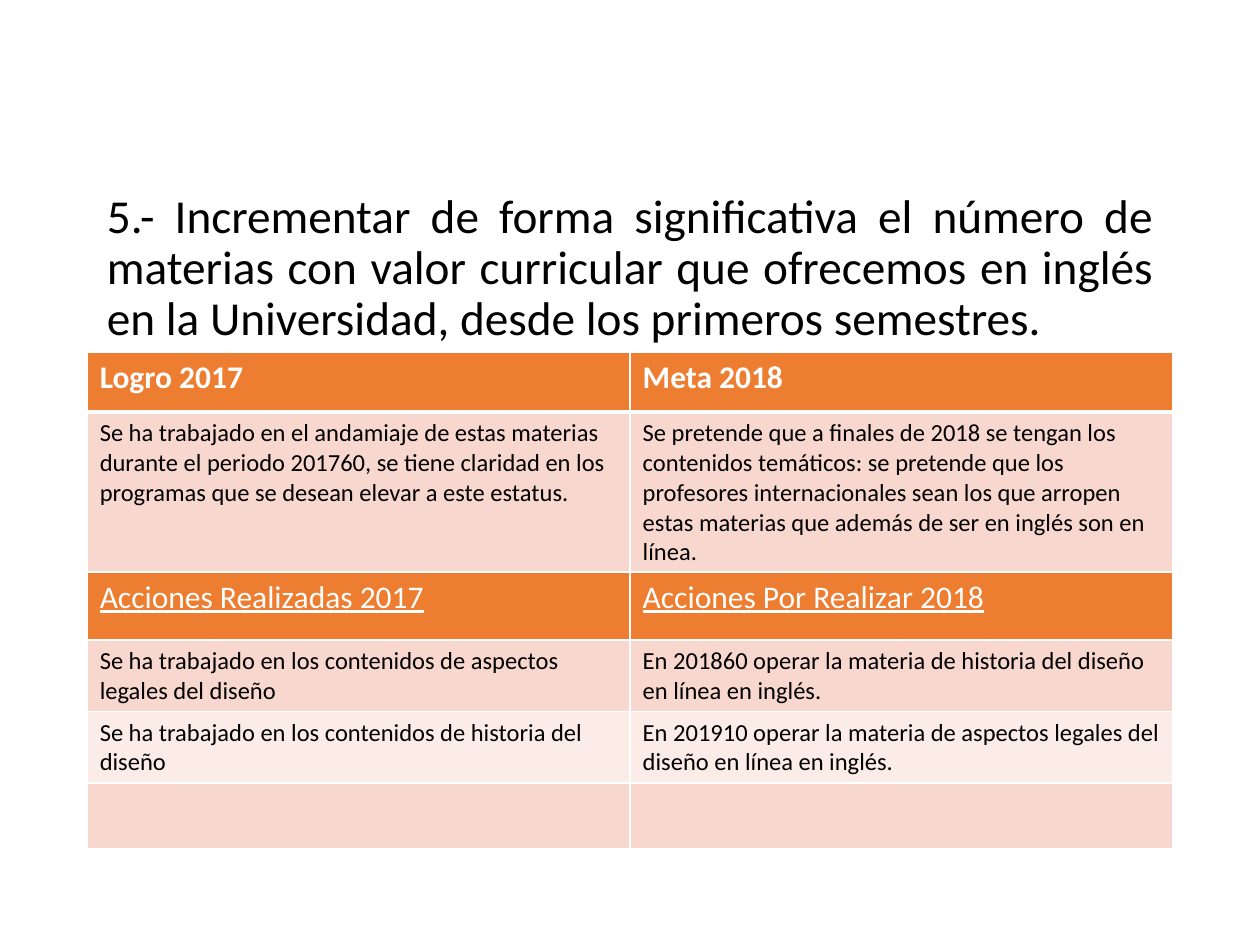
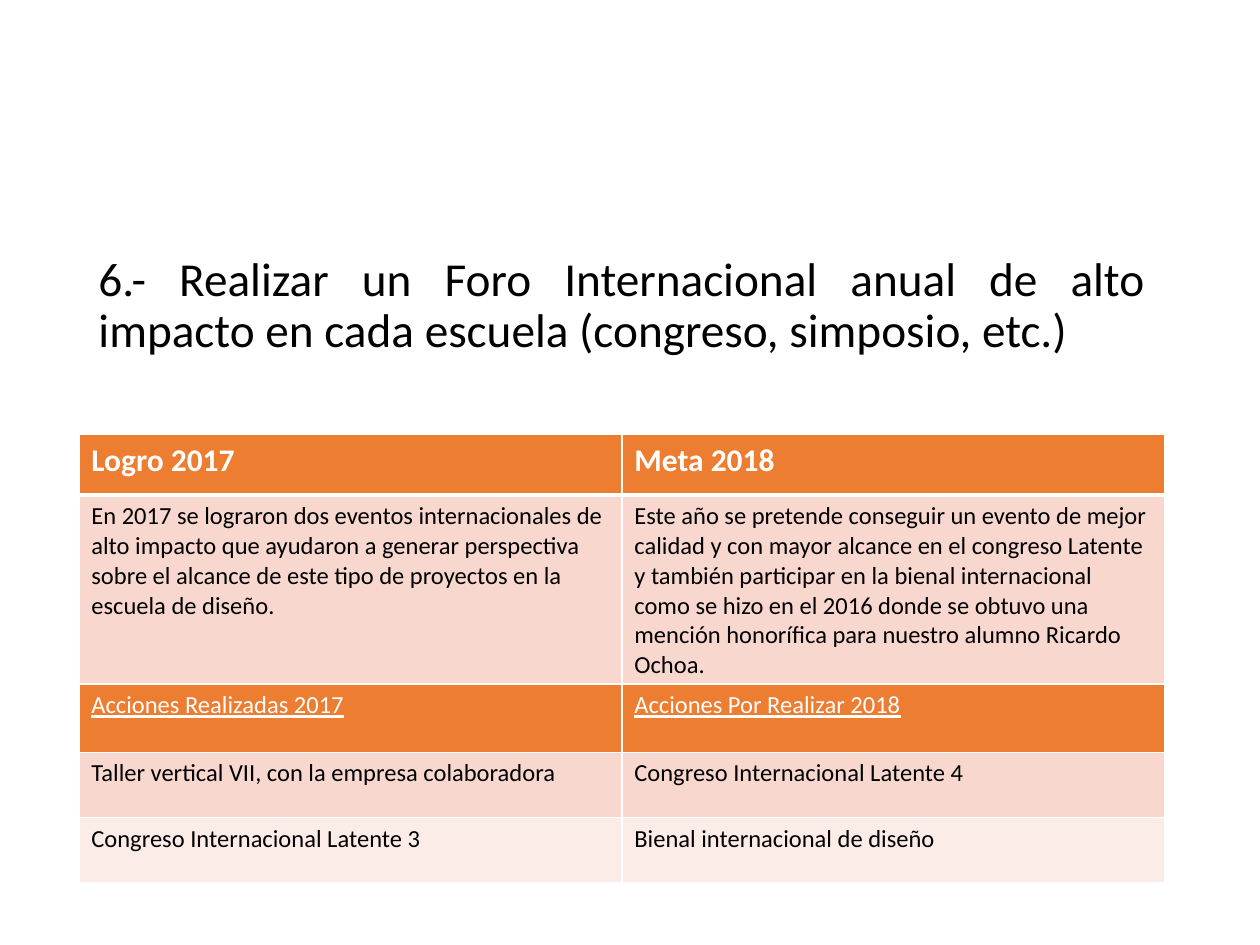
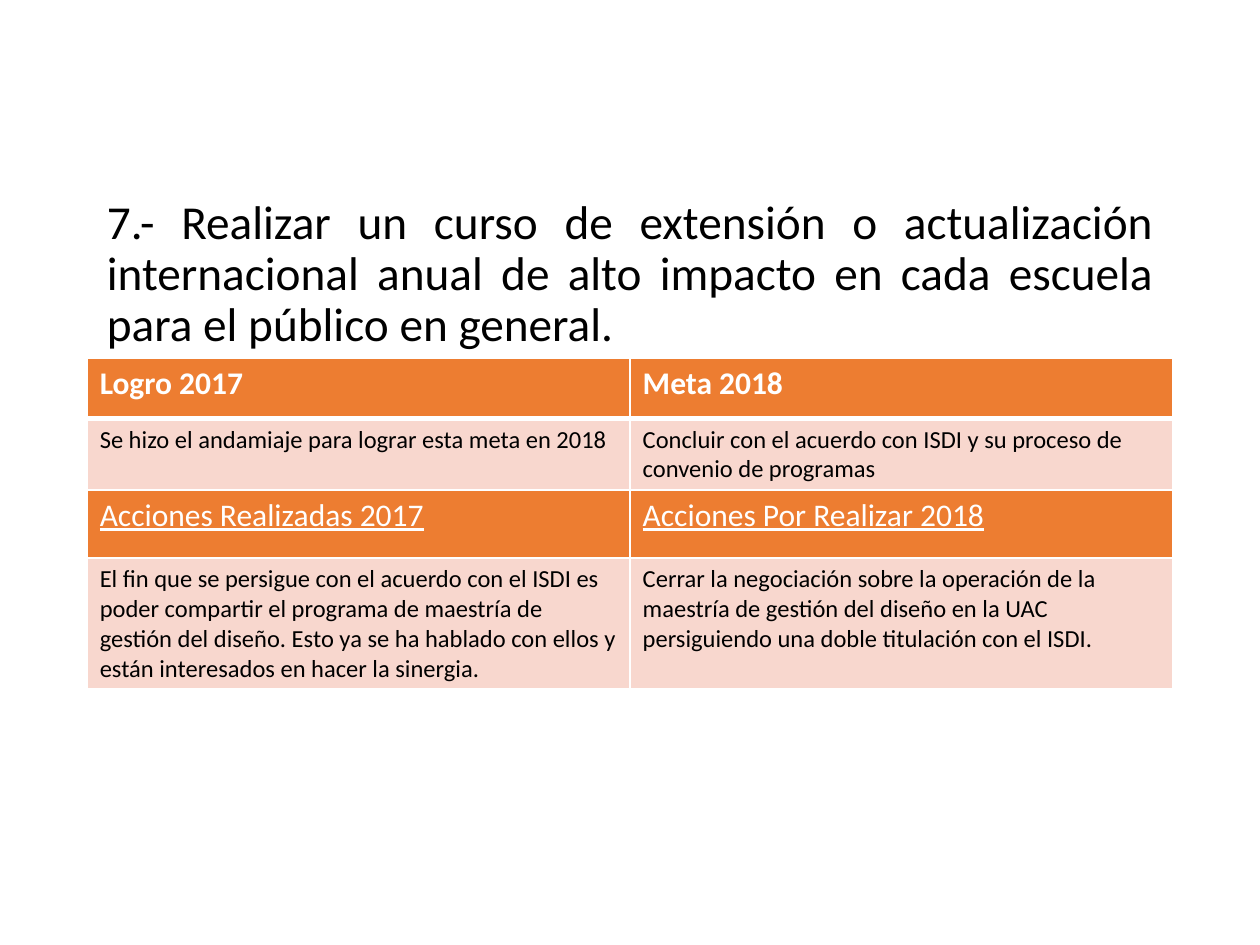
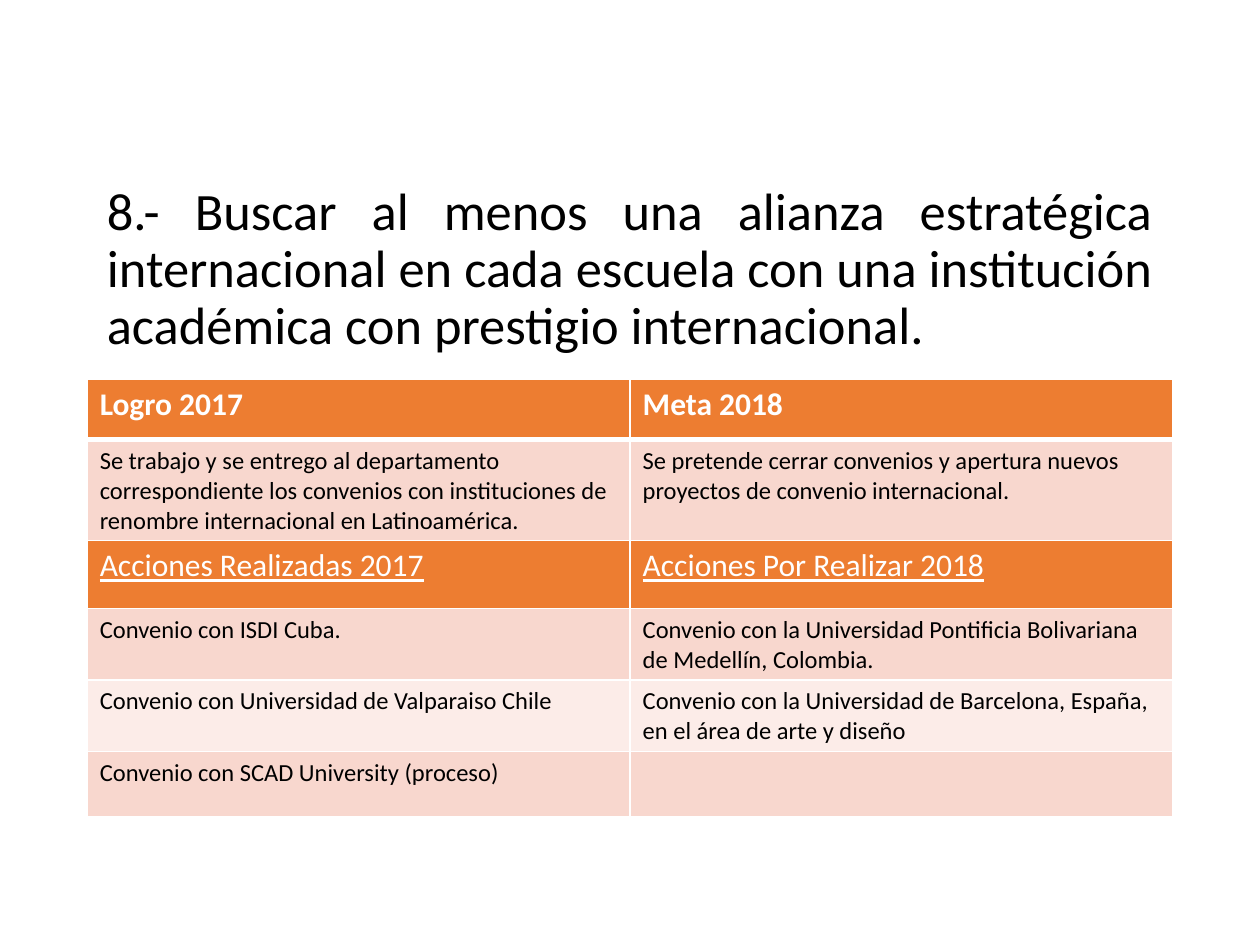
from dataclasses import dataclass

from pptx import Presentation
from pptx.dml.color import RGBColor
from pptx.enum.text import MSO_ANCHOR, PP_ALIGN
from pptx.oxml import parse_xml
from pptx.oxml.ns import nsdecls
from pptx.util import Pt

# Shared style
FONT = "Calibri"
ORANGE, ROSE, PALE = "ED7D31", "F8D7CE", "FCECE8"
WHITE, BLACK = "FFFFFF", "000000"
TITLE_LEFT, TITLE_W, TITLE_H = 54, 612, 116
TABLE_LEFT, COL_W = 49.8, 310.3
HEADER_H, ACTIONS_H, BODY_H = 34.5, 38.9, 37.4
HEADER = ("Logro 2017", "Meta 2018")
ACTIONS = ("Acciones Realizadas 2017", "Acciones Por Realizar 2018")

Pair = tuple[str, str]


@dataclass(frozen=True)
class RowStyle:
    fill: str
    color: str
    size: float
    height: float
    bold: bool = False
    underline: bool = False
    top: float = 1
    bottom: float = 1


@dataclass(frozen=True)
class Goal:
    title: str
    title_top: float
    table_top: float
    summary: Pair
    actions: list[Pair]
    title_size: float = 27
    actions_size: float = 18
    shift: float = 0  # horizontal offset of the whole slide content


GOALS = [
    Goal(
        "5.- Incrementar de forma significativa el número de materias con valor "
        "curricular que ofrecemos en inglés en la Universidad, desde los primeros semestres.",
        85, 201,
        ("Se ha trabajado en el andamiaje de estas materias durante el periodo 201760, "
         "se tiene claridad en los programas que se desean elevar a este estatus.",
         "Se pretende que a finales de 2018 se tengan los contenidos temáticos: se pretende "
         "que los profesores internacionales sean los que arropen estas materias que además "
         "de ser en inglés son en línea."),
        [("Se ha trabajado en los contenidos de aspectos legales del diseño",
          "En 201860 operar la materia de historia del diseño en línea en inglés."),
         ("Se ha trabajado en los contenidos de historia del diseño",
          "En 201910 operar la materia de aspectos legales del diseño en línea en inglés."),
         ("", "")],
    ),
    Goal(
        "6.- Realizar un Foro Internacional anual de alto impacto en cada escuela "
        "(congreso, simposio, etc.)",
        92, 248.4,
        ("En 2017 se lograron dos eventos internacionales de alto impacto que ayudaron a "
         "generar perspectiva sobre el alcance de este tipo de proyectos en la escuela de diseño.",
         "Este año se pretende conseguir un evento de mejor calidad y con mayor alcance en el "
         "congreso Latente y también participar en la bienal internacional como se hizo en el "
         "2016 donde se obtuvo una mención honorífica para nuestro alumno Ricardo Ochoa."),
        [("Taller vertical VII, con la empresa colaboradora",
          "Congreso Internacional Latente 4"),
         ("Congreso Internacional Latente 3", "Bienal internacional de diseño")],
        actions_size=14, shift=-4.8,
    ),
    Goal(
        "7.- Realizar un curso de extensión o actualización internacional anual de alto "
        "impacto en cada escuela para el público en general.",
        88.6, 204.6,
        ("Se hizo el andamiaje para lograr esta meta en 2018",
         "Concluir con el acuerdo con ISDI y su proceso de convenio de programas"),
        [("El fin que se persigue con el acuerdo con el ISDI es poder compartir el programa de "
          "maestría de gestión del diseño. Esto ya se ha hablado con ellos y están interesados "
          "en hacer la sinergia.",
          "Cerrar la negociación sobre la operación de la maestría de gestión del diseño en la "
          "UAC persiguiendo una doble titulación con el ISDI.")],
    ),
    Goal(
        "8.- Buscar al menos una alianza estratégica internacional en cada escuela con una "
        "institución académica con prestigio internacional.",
        90.7, 216.8,
        ("Se trabajo y se entrego al departamento correspondiente los convenios con "
         "instituciones de renombre internacional en Latinoamérica.",
         "Se pretende cerrar convenios y apertura nuevos proyectos de convenio internacional."),
        [("Convenio con ISDI Cuba.",
          "Convenio con la Universidad Pontificia Bolivariana de Medellín, Colombia."),
         ("Convenio con Universidad de Valparaiso Chile",
          "Convenio con la Universidad de Barcelona, España, en el área de arte y diseño"),
         ("Convenio con SCAD University (proceso)", "")],
        title_size=30,
    ),
]


def rgb(color: str) -> RGBColor:
    return RGBColor.from_string(color)


def set_font(p, size: float, color: str, bold: bool = False, underline: bool = False) -> None:
    f = p.font
    f.name, f.size, f.bold, f.underline = FONT, Pt(size), bold, underline
    f.color.rgb = rgb(color)


def add_title(s, goal: Goal) -> None:
    box = s.shapes.add_textbox(Pt(TITLE_LEFT + goal.shift), Pt(goal.title_top),
                               Pt(TITLE_W), Pt(TITLE_H))
    tf = box.text_frame
    tf.word_wrap = True
    tf.vertical_anchor = MSO_ANCHOR.BOTTOM
    p = tf.paragraphs[0]
    p.text = goal.title
    p.alignment = PP_ALIGN.JUSTIFY
    p.line_spacing = 0.9
    set_font(p, goal.title_size, BLACK)


def set_borders(cell, top: float, bottom: float) -> None:
    tc_pr = cell._tc.get_or_add_tcPr()
    for side, width in (("L", 1), ("R", 1), ("T", top), ("B", bottom)):
        tc_pr.append(parse_xml(
            f'<a:ln{side} {nsdecls("a")} w="{Pt(width)}"><a:solidFill>'
            f'<a:srgbClr val="{WHITE}"/></a:solidFill></a:ln{side}>'))


def fill_cell(cell, text: str, style: RowStyle) -> None:
    set_borders(cell, style.top, style.bottom)
    cell.fill.solid()
    cell.fill.fore_color.rgb = rgb(style.fill)
    p = cell.text_frame.paragraphs[0]
    if text:
        p.text = text
    set_font(p, style.size, style.color, style.bold, style.underline)


def table_rows(goal: Goal) -> list[tuple[Pair, RowStyle]]:
    rows = [
        (HEADER, RowStyle(ORANGE, WHITE, 18, HEADER_H, bold=True, bottom=3)),
        (goal.summary, RowStyle(ROSE, BLACK, 14, BODY_H, top=3)),
        (ACTIONS, RowStyle(ORANGE, WHITE, goal.actions_size, ACTIONS_H, underline=True)),
    ]
    for i, pair in enumerate(goal.actions):
        rows.append((pair, RowStyle(PALE if i % 2 else ROSE, BLACK, 14, BODY_H)))
    return rows


def add_goal_table(s, goal: Goal) -> None:
    rows = table_rows(goal)
    height = sum(style.height for _, style in rows)
    table = s.shapes.add_table(len(rows), 2, Pt(TABLE_LEFT + goal.shift), Pt(goal.table_top),
                               Pt(2 * COL_W), Pt(height)).table
    table.first_row = table.horz_banding = False
    for row, (pair, style) in zip(table.rows, rows):
        row.height = Pt(style.height)
        for cell, text in zip(row.cells, pair):
            fill_cell(cell, text, style)


def main() -> None:
    prs = Presentation()
    prs.slide_width, prs.slide_height = Pt(720), Pt(540)
    for goal in GOALS:
        s = prs.slides.add_slide(prs.slide_layouts[6])
        add_title(s, goal)
        add_goal_table(s, goal)
    prs.save("out.pptx")


if __name__ == "__main__":
    main()
